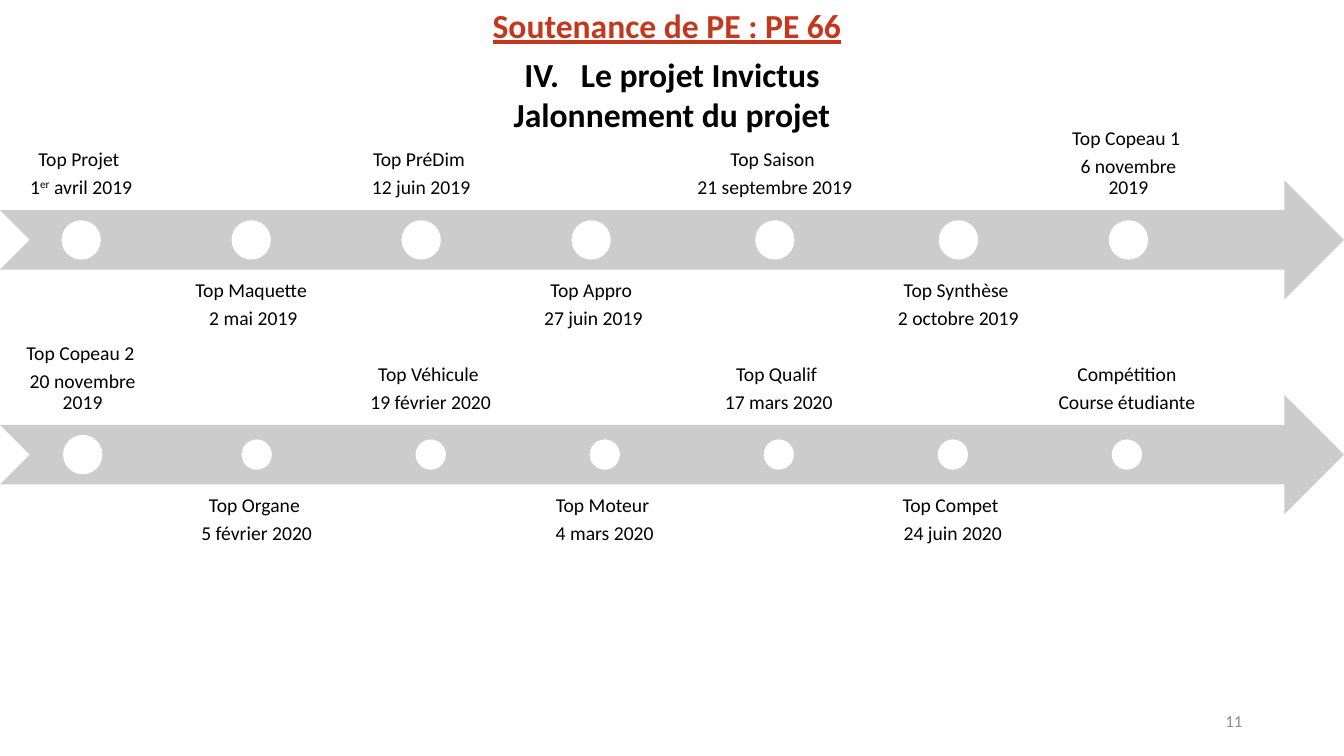
from dataclasses import dataclass

from lxml import etree
from pptx import Presentation
from pptx import util as u
from pptx.dml.color import RGBColor
from pptx.enum import shapes, text
from pptx.oxml.ns import qn

TITLE = "Soutenance de PE : PE 66"
HEADING = ["Le projet Invictus", "Jalonnement du projet"]
HEADING_NUMBER = 4
PAGE = "11"

# Each milestone: name, date as runs ("^" marks superscript), label width, dot size
BIG, SMALL = 0.39, 0.30
TIMELINES = [
    (1.79, [
        ("Top Projet ", ["1", "^er", " avril 2019"], 1.61, BIG),
        ("Top Maquette", [" 2 mai 2019"], 1.61, BIG),
        ("Top PréDim ", ["12 juin 2019"], 1.61, BIG),
        ("Top Appro", [" 27 juin 2019"], 1.61, BIG),
        ("Top Saison ", ["21 septembre 2019"], 1.88, BIG),
        ("Top Synthèse ", ["2 octobre 2019"], 1.61, BIG),
        ("Top Copeau 1 ", ["6 novembre 2019"], 1.61, BIG),
    ]),
    (3.92, [
        ("Top Copeau 2 ", ["20 novembre 2019"], 1.64, BIG),
        ("Top Organe ", ["5 février 2020"], 1.64, SMALL),
        ("Top Véhicule ", ["19 février 2020"], 1.64, SMALL),
        ("Top Moteur ", ["4 mars 2020"], 1.64, SMALL),
        ("Top Qualif ", ["17 mars 2020"], 1.64, SMALL),
        ("Top Compet ", ["24 juin 2020"], 1.64, SMALL),
        ("Compétition", ["Course étudiante"], 1.64, SMALL),
    ]),
]


@dataclass(frozen=True)
class Theme:
    font: str = "Calibri"
    accent: str = "C2381E"
    ink: str = "000000"
    muted: str = "8C8C8C"
    arrow: str = "CCCCCC"
    dot: str = "FFFFFF"
    head_size: int = 24
    label_size: int = 14
    page_size: int = 12


T = Theme()
W, H = 13.33, 7.5
ARROW_H = 1.18
LABEL_H = 1.21
LABEL_INSET = 0.11
SPAN = 0.9 * W  # share of the arrow that carries milestones


def place(sp, x, y, w, h):
    sp.left, sp.top, sp.width, sp.height = (u.Inches(v) for v in (x, y, w, h))


def style(font, size, color, bold=False):
    font.name, font.size, font.bold = T.font, u.Pt(size), bold
    font.color.rgb = RGBColor.from_string(color)


def add_run(p, content, size, color, bold=False):
    r = p.add_run()
    r.text = content
    style(r.font, size, color, bold)
    return r


def frame(sp, anchor, inset=None):
    tf = sp.text_frame
    tf.word_wrap = True
    tf.auto_size = text.MSO_AUTO_SIZE.NONE
    tf.vertical_anchor = anchor
    if inset is not None:
        tf.margin_left = tf.margin_right = u.Inches(inset)
        tf.margin_top = tf.margin_bottom = u.Inches(inset)
    return tf


def add_shape(group, kind, x, y, w, h, color):
    sp = group.shapes.add_shape(kind, *(u.Inches(v) for v in (x, y, w, h)))
    sp.shadow.inherit = False
    sp.fill.solid()
    sp.fill.fore_color.rgb = RGBColor.from_string(color)
    sp.line.fill.background()


def add_label(group, x, y, w, anchor, name, date):
    sp = group.shapes.add_textbox(*(u.Inches(v) for v in (x, y, w, LABEL_H)))
    tf = frame(sp, anchor, LABEL_INSET)
    for i, runs in enumerate(([name], date)):
        p = tf.paragraphs[0] if i == 0 else tf.add_paragraph()
        p.alignment = text.PP_ALIGN.CENTER
        p.line_spacing = 0.9
        p.space_after = u.Pt(0.35 * T.label_size)
        for content in runs:
            r = add_run(p, content.lstrip("^"), T.label_size, T.ink)
            if content.startswith("^"):
                r._r.get_or_add_rPr().set("baseline", "30000")


def add_timeline(slide, top, milestones):
    group = slide.shapes.add_group_shape()
    add_shape(group, shapes.MSO_SHAPE.NOTCHED_RIGHT_ARROW, 0, top, W, ARROW_H, T.arrow)
    gap = (SPAN - sum(m[2] for m in milestones)) / (len(milestones) - 1)
    x = 0
    for i, (name, date, width, size) in enumerate(milestones):
        if i % 2 == 0:
            y, anchor = top + ARROW_H / 4 - LABEL_H, text.MSO_ANCHOR.BOTTOM
        else:
            y, anchor = top + ARROW_H * 3 / 4, text.MSO_ANCHOR.TOP
        add_label(group, x, y, width, anchor, name, date)
        add_shape(group, shapes.MSO_SHAPE.OVAL, x + (width - size) / 2,
                  top + (ARROW_H - size) / 2, size, size, T.dot)
        x += width + gap


def add_title(slide):
    sp = slide.shapes.title
    place(sp, -0.05, 0, W, 0.5)
    p = frame(sp, text.MSO_ANCHOR.TOP).paragraphs[0]
    p.alignment = text.PP_ALIGN.CENTER
    add_run(p, TITLE, T.head_size, T.accent, True).font.underline = True


def add_heading(slide):
    sp = slide.placeholders[1]
    place(sp, 0, 0.48, W, 0.91)
    tf = frame(sp, text.MSO_ANCHOR.TOP)
    for i, line in enumerate(HEADING):
        p = tf.paragraphs[0] if i == 0 else tf.add_paragraph()
        p.alignment = text.PP_ALIGN.CENTER
        p.space_before = u.Pt(0)
        add_run(p, line, T.head_size, T.ink, True)
        pPr = p._p.get_or_add_pPr()
        indent = u.Inches(0.56) if i == 0 else 0
        pPr.set("marL", str(indent))
        pPr.set("indent", str(-indent))
        if i == 0:
            etree.SubElement(pPr, qn("a:buFont"), typeface="+mj-lt")
            etree.SubElement(pPr, qn("a:buAutoNum"), type="romanUcPeriod",
                             startAt=str(HEADING_NUMBER))
        else:
            etree.SubElement(pPr, qn("a:buNone"))


def add_page_number(slide):
    sp = slide.shapes.add_textbox(*(u.Inches(v) for v in (9.42, 6.95, 3, 0.4)))
    p = frame(sp, text.MSO_ANCHOR.MIDDLE).paragraphs[0]
    p.alignment = text.PP_ALIGN.RIGHT
    add_run(p, PAGE, T.page_size, T.muted)


def main():
    prs = Presentation()
    prs.slide_width, prs.slide_height = u.Inches(W), u.Inches(H)
    slide = prs.slides.add_slide(prs.slide_layouts[1])
    add_title(slide)
    add_heading(slide)
    add_page_number(slide)
    for top, milestones in TIMELINES:
        add_timeline(slide, top, milestones)
    prs.save("out.pptx")


if __name__ == "__main__":
    main()
